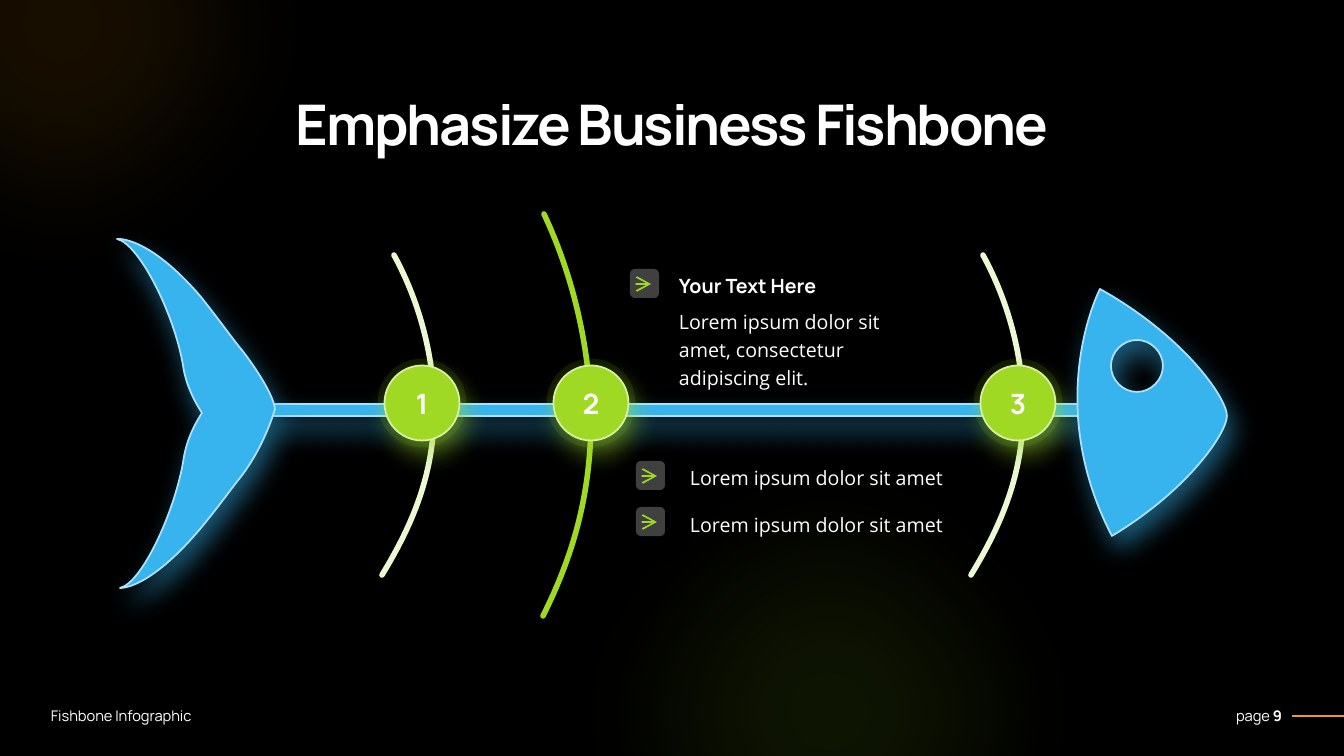
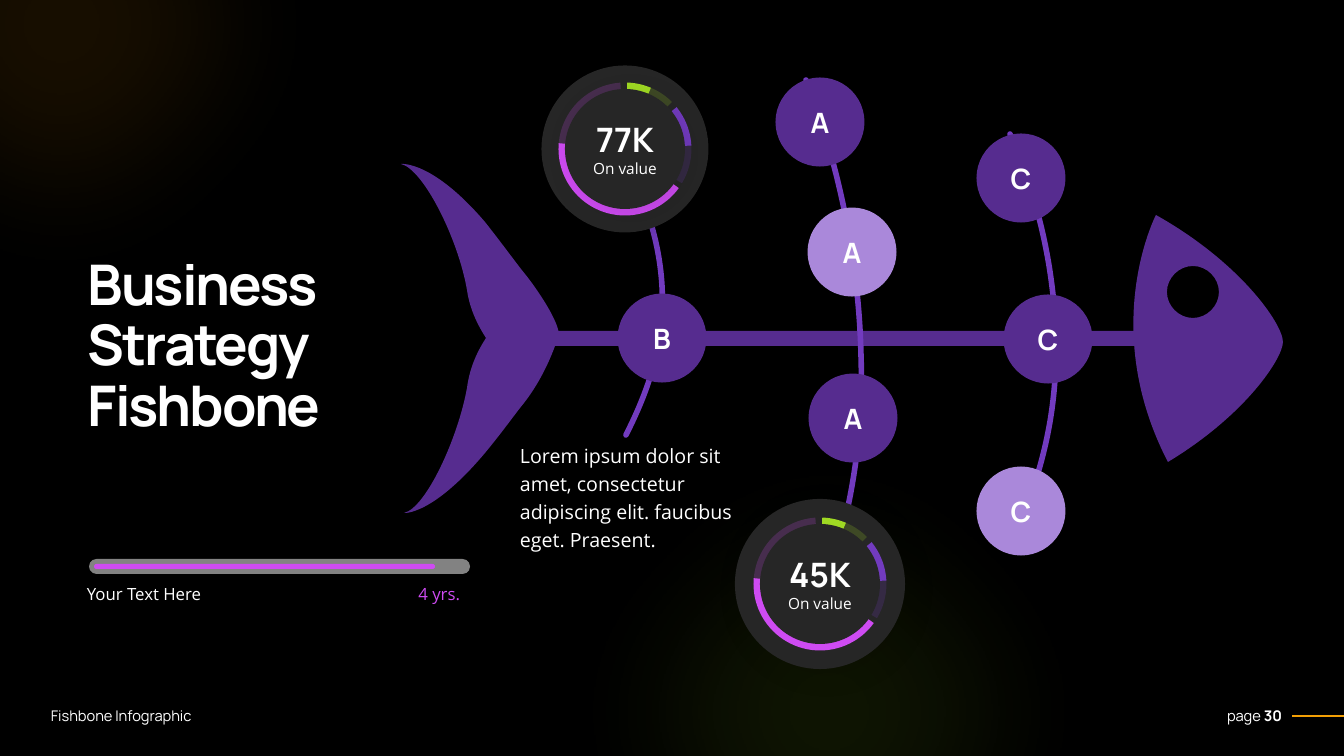
from lxml.etree import SubElement
from pptx import Presentation
from pptx.dml.color import RGBColor
from pptx.enum.shapes import MSO_CONNECTOR, MSO_SHAPE
from pptx.enum.text import MSO_ANCHOR, PP_ALIGN
from pptx.oxml.ns import qn
from pptx.util import Emu, Pt

PX = 12192000 / 1344
BLACK, WHITE, ORANGE = "000000", "FFFFFF", "F29F05"
LIME, PALE_LIME, MIST = "9FD923", "D9F1A6", "ECF8D3"
SKY, PALE_SKY = "37B4EE", "AFE1F8"
PURPLE, VIOLET, LILAC, MAGENTA = "562C8F", "723BBF", "AA88DA", "CE4BF2"
CHARCOAL, GREY, SILVER = "262626", "404040", "D9D9D9"
HEADING, BODY = "Manrope", "Open Sans"
LEFT, CENTER, RIGHT = PP_ALIGN.LEFT, PP_ALIGN.CENTER, PP_ALIGN.RIGHT
SKY_GLOW, LIME_GLOW = (SKY, 50, 10, 68), (LIME, 50, 10, 68)
SOFT_SHADE = (BLACK, 10, 6, 45)

HEAD = [(23, 0), (23, 0), (-35, 112), (35, 247), (113, 200), (150, 143),
        (150, 127), (150, 109), (107, 47), (23, 0)]
EYE = [(60, 103), (46, 103), (34, 91), (34, 77), (34, 63), (46, 51), (60, 51),
       (74, 51), (86, 63), (86, 77), (86, 91), (74, 103), (60, 103)]
TAIL = [(158, 170), (158, 170), (148, 207), (123, 239), (114, 250), (103, 266),
        (84, 289), (31, 352), (3, 349), (3, 349), (25, 344), (57, 274),
        (66, 224), (69, 201), (78, 185), (85, 174), (78, 163), (69, 147),
        (66, 126), (57, 74), (22, 5), (0, 0), (0, 0), (31, -4), (84, 58),
        (103, 82), (115, 99), (124, 110), (129, 116), (156, 152), (158, 170)]
SHORT_RIB = [(382, 575), (415, 521), (432, 474), (434, 420),
             (436, 368), (423, 308), (394, 255)]
LONG_RIB = [(543, 616), (576, 550), (590, 491), (591, 424),
            (591, 357), (576, 282), (544, 214)]
STRATEGY_RIBS = [
    [(626, 435), (653, 382), (665, 336), (662, 285),
     (659, 235), (641, 181), (607, 135)],
    [(822, 599), (851, 516), (864, 439), (861, 354),
     (859, 267), (841, 169), (806, 80)],
    [(1010, 546), (1041, 479), (1056, 418), (1056, 349),
     (1056, 280), (1041, 204), (1010, 134)]]
RING_ARCS = [(184, 266, MAGENTA, 20), (36, 185, MAGENTA, 100),
             (356, 31, VIOLET, 20), (321, 357, VIOLET, 100),
             (292, 315, LIME, 20), (272, 293, LIME, 100)]


def emu(px):
    """Turn px into EMU."""
    return Emu(round(px * PX))


def rgb(color):
    """Turn a hex string into a colour."""
    return RGBColor.from_string(color)


def shifted(points, dx, dy):
    """Move a list of points."""
    return [(x + dx, y + dy) for x, y in points]


def write(frame, text, size=14, font=BODY, color=WHITE, bold=False,
          bold_tail="", align=LEFT, anchor=MSO_ANCHOR.TOP, leading=None,
          tracking=None):
    """Fill a text frame with one formatted paragraph."""
    frame.word_wrap = True
    frame.vertical_anchor = anchor
    paragraph = frame.paragraphs[0]
    paragraph.alignment = align
    if leading:
        paragraph.line_spacing = leading
    for words, heavy in ((text, bold), (bold_tail, True)):
        if not words:
            continue
        run = paragraph.add_run()
        run.text = words
        run.font.size, run.font.name, run.font.bold = Pt(size), font, heavy
        run.font.color.rgb = rgb(color)
        if tracking:
            run.font._element.set("spc", str(round(tracking * 100)))


class Deck:
    """Holds the deck style and the current slide."""

    def __init__(self):
        """Start an empty widescreen deck."""
        self.file = Presentation()
        self.file.slide_width, self.file.slide_height = emu(1344), emu(756)
        self.shapes = None

    def slide(self, number):
        """Add a black slide with its glows and footer."""
        page = self.file.slides.add_slide(self.file.slide_layouts[6])
        page.background.fill.solid()
        page.background.fill.fore_color.rgb = rgb(BLACK)
        self.shapes = page.shapes
        footer = {"size": 10.5, "font": HEADING, "anchor": MSO_ANCHOR.MIDDLE}
        self.text(1190, 702, 102, 28, "page ", bold_tail=number, align=RIGHT,
                  **footer)
        self.text(41, 702, 233, 28, "Fishbone Infographic", **footer)
        self.rule(1292, 1344, 716, ORANGE)
        self.glow(488, 370, 684, 684, LIME)
        self.glow(-280, -319, 684, 688, ORANGE)

    def text(self, x, y, w, h, words, **style):
        """Add a text box."""
        box = self.shapes.add_textbox(emu(x), emu(y), emu(w), emu(h))
        write(box.text_frame, words, **style)

    def title(self, x, y, w, h, words, align=LEFT):
        """Add the slide title."""
        self.text(x, y, w, h, words, size=40, font=HEADING, bold=True,
                  align=align, leading=0.9, tracking=-1.5)

    def body(self, x, y, w, h, words):
        """Add a paragraph of body text."""
        self.text(x, y, w, h, words, leading=1.2)

    def paint(self, shape, fill=None, alpha=100, line=None, weight=1.25,
              shade=None):
        """Set fill, outline and shadow."""
        shape.shadow.inherit = False
        properties = shape._element.spPr
        if fill:
            shape.fill.solid()
            shape.fill.fore_color.rgb = rgb(fill)
            if alpha < 100:
                tint = properties.find(qn("a:solidFill")).find(qn("a:srgbClr"))
                SubElement(tint, qn("a:alpha"), val=str(alpha * 1000))
        else:
            shape.fill.background()
        if line:
            shape.line.color.rgb = rgb(line)
            shape.line.width = Pt(weight)
        else:
            shape.line.fill.background()
        if shade:
            color, strength, distance, angle = shade
            shadow = SubElement(
                properties.find(qn("a:effectLst")), qn("a:outerShdw"),
                blurRad=str(Pt(19)), dist=str(Pt(distance)),
                dir=str(angle * 60000), algn="ctr", rotWithShape="0")
            tint = SubElement(shadow, qn("a:srgbClr"), val=color)
            SubElement(tint, qn("a:alpha"), val=str(strength * 1000))
        return shape

    def block(self, kind, x, y, w, h, fill, **look):
        """Add a preset shape."""
        shape = self.shapes.add_shape(kind, emu(x), emu(y), emu(w), emu(h))
        return self.paint(shape, fill, **look)

    def disc(self, cx, cy, size, fill, kind=MSO_SHAPE.OVAL, **look):
        """Add a round shape by its centre."""
        return self.block(kind, cx - size / 2, cy - size / 2, size, size, fill,
                          **look)

    def glow(self, x, y, w, h, color):
        """Add a faint light with a soft edge."""
        light = self.block(MSO_SHAPE.OVAL, x, y, w, h, color, alpha=10)
        effects = light._element.spPr.find(qn("a:effectLst"))
        SubElement(effects, qn("a:softEdge"), rad=str(Pt(100)))

    def rule(self, x1, x2, y, color, arrow=False):
        """Add a level line, with an arrowhead if asked."""
        line = self.shapes.add_connector(MSO_CONNECTOR.STRAIGHT, emu(x1),
                                         emu(y), emu(x2), emu(y))
        line.line.color.rgb = rgb(color)
        line.line.width = Pt(1.25)
        properties = line._element.spPr
        if arrow:
            SubElement(properties.find(qn("a:ln")), qn("a:tailEnd"),
                       type="arrow", w="lg", len="lg")
        SubElement(properties, qn("a:effectLst"))

    def outline(self, *contours, close=True, **look):
        """Add an outline of cubic curves from one or more contours."""
        traces = [[(emu(x), emu(y)) for x, y in points] for points in contours]
        builder = self.shapes.build_freeform(*traces[0][0], scale=1.0)
        for index, points in enumerate(traces):
            if index:
                builder.move_to(*points[0])
            builder.add_line_segments(points[3::3], close=close)
        shape = builder.convert_to_shape()
        curves = [points[i:i + 3] for points in traces
                  for i in range(1, len(points), 3)]
        for step, curve in zip(list(shape._element.iter(qn("a:lnTo"))), curves):
            step.tag = qn("a:cubicBezTo")
            for corner in list(step):
                step.remove(corner)
            for x, y in curve:
                SubElement(step, qn("a:pt"), x=str(x - shape.left),
                           y=str(y - shape.top))
        return self.paint(shape, **look)

    def fish(self, spine, head, tail, **look):
        """Add the spine, head and tail."""
        self.block(MSO_SHAPE.RECTANGLE, *spine, **look)
        self.outline(shifted(HEAD, *head), shifted(EYE, *head), **look)
        self.outline(shifted(TAIL, *tail), **look)

    def rib(self, points, color):
        """Add a rounded rib."""
        bone = self.outline(points, close=False, line=color, weight=4)
        bone._element.spPr.find(qn("a:ln")).set("cap", "rnd")

    def node(self, cx, cy, label, color, halo=100, **look):
        """Add a labelled disc with its halo."""
        self.disc(cx, cy, 89, color, alpha=halo)
        disc = self.disc(cx, cy, 75, color, **look)
        write(disc.text_frame, label, size=20, font=HEADING, bold=True,
              align=CENTER, anchor=MSO_ANCHOR.MIDDLE)

    def chip(self, x, y):
        """Add an arrow marker."""
        self.block(MSO_SHAPE.ROUNDED_RECTANGLE, x, y, 29, 29, GREY,
                   shade=SOFT_SHADE)
        self.rule(x + 8, x + 21, y + 15, LIME, arrow=True)

    def ring(self, cx, cy, value, rim=None, shade=None):
        """Add a ring gauge with its value."""
        self.disc(cx, cy, 167, CHARCOAL, line=rim, weight=2.25,
                  shade=SOFT_SHADE)
        for start, end, color, alpha in RING_ARCS:
            arc = self.disc(cx, cy, 133, color, kind=MSO_SHAPE.PIE, alpha=alpha)
            arc.adjustments[0], arc.adjustments[1] = start * 0.6, end * 0.6
        self.disc(cx, cy, 120, CHARCOAL, shade=shade)
        self.text(cx - 58, cy - 35, 116, 50, value, size=24, font=HEADING,
                  bold=True, align=CENTER)
        self.text(cx - 58, cy + 5, 116, 29, "On value", size=11, align=CENTER)

    def bar(self, x, y, w, h, color, alpha=100):
        """Add a bar with round ends."""
        pill = self.block(MSO_SHAPE.ROUNDED_RECTANGLE, x, y, w, h, color,
                          alpha=alpha)
        pill.adjustments[0] = 0.5


def emphasize_slide(deck):
    """Build the blue fishbone."""
    deck.slide("9")
    deck.fish((270, 404, 824, 12), (1077, 289), (117, 239), fill=SKY,
              line=PALE_SKY, shade=SKY_GLOW)
    deck.rib(SHORT_RIB, MIST)
    deck.rib(LONG_RIB, LIME)
    deck.rib(shifted(SHORT_RIB, 589, 0), MIST)
    deck.title(139, 92, 1066, 72, "Emphasize Business Fishbone", CENTER)
    for label, cx in (("3", 1018), ("1", 422), ("2", 591)):
        deck.node(cx, 403, label, LIME, halo=10, line=PALE_LIME,
                  shade=LIME_GLOW)
    for chip_y, text_y in ((461, 456), (507, 503)):
        deck.chip(636, chip_y)
        deck.body(680, text_y, 278, 37, "Lorem ipsum dolor sit amet")
    deck.body(669, 300, 273, 66,
              "Lorem ipsum dolor sit amet, consectetur adipiscing elit.")
    deck.text(669, 269, 176, 34, "Your Text Here", font=HEADING, bold=True)
    deck.chip(630, 269)


def strategy_slide(deck):
    """Build the purple fishbone."""
    deck.slide("30")
    deck.fish((514, 331, 635, 15), (1133, 215), (401, 164), fill=PURPLE)
    for points in STRATEGY_RIBS:
        deck.rib(points, VIOLET)
    for cx, cy, label, color in (
            (820, 122, "A", PURPLE), (1021, 178, "C", PURPLE),
            (662, 338, "B", PURPLE), (853, 418, "A", PURPLE),
            (852, 252, "A", LILAC), (1021, 511, "C", LILAC)):
        deck.node(cx, cy, label, color)
    deck.ring(625, 149, "77K", shade=SOFT_SHADE)
    deck.ring(820, 584, "45K", rim=CHARCOAL)
    deck.node(1048, 339, "C", PURPLE)
    deck.body(510, 434, 277, 94, "Lorem ipsum dolor sit amet, consectetur "
              "adipiscing elit. faucibus eget. Praesent.")
    deck.title(78, 252, 418, 194, "Business Strategy Fishbone")
    deck.text(77, 579, 183, 31, "Your Text Here", size=12)
    deck.text(391, 579, 79, 31, "4 yrs.", size=12, color=MAGENTA, align=RIGHT)
    deck.bar(89, 559, 381, 15, SILVER, alpha=60)
    deck.bar(94, 564, 341, 5, MAGENTA)


def main():
    """Build and save the deck."""
    deck = Deck()
    emphasize_slide(deck)
    strategy_slide(deck)
    deck.file.save("out.pptx")


if __name__ == "__main__":
    main()
